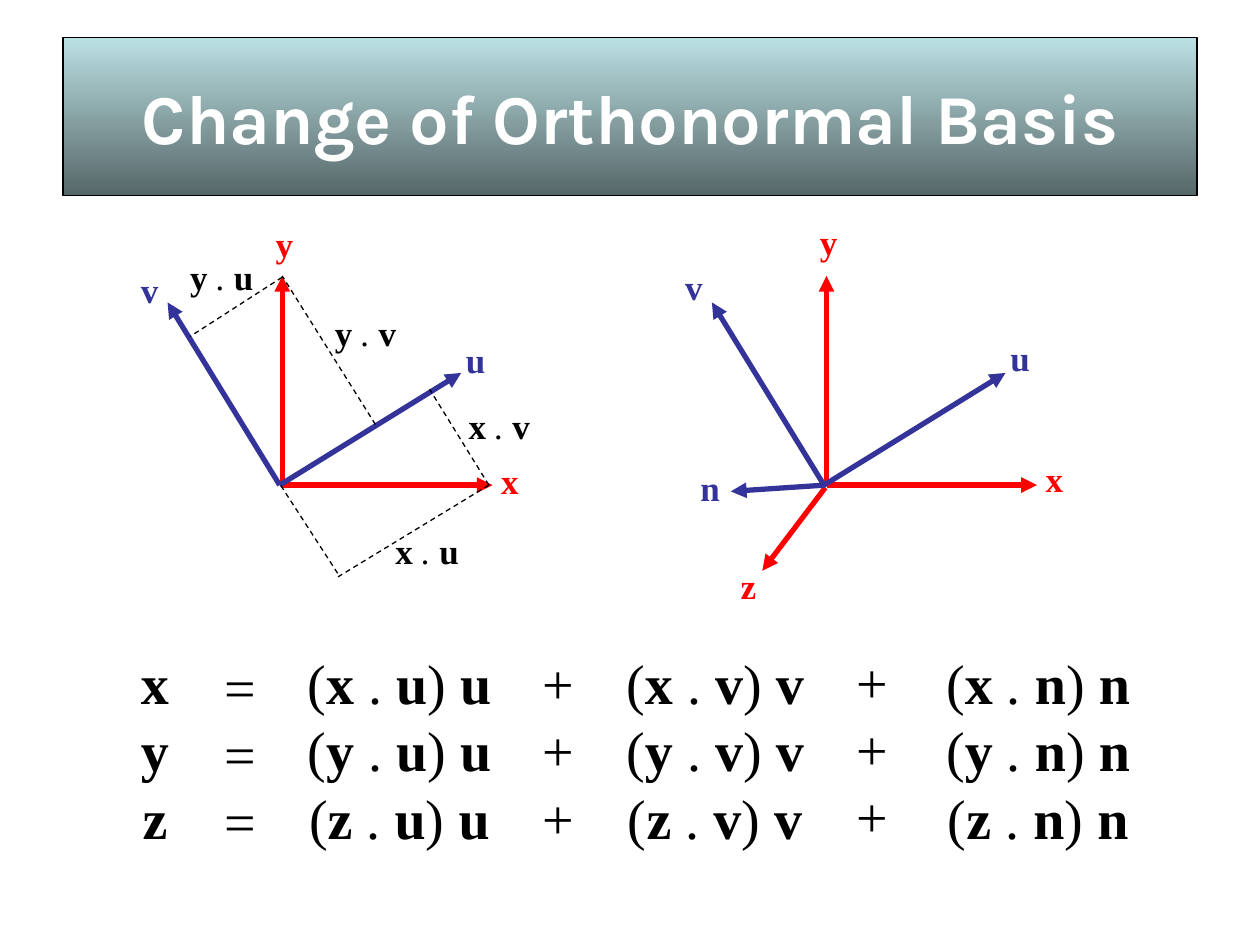
"""Builds the slide on changing between orthonormal bases."""
from dataclasses import dataclass

from lxml import etree
from pptx import Presentation
from pptx.dml.color import RGBColor
from pptx.enum.dml import MSO_LINE
from pptx.enum.shapes import MSO_CONNECTOR
from pptx.enum.text import MSO_ANCHOR, MSO_AUTO_SIZE, PP_ALIGN
from pptx.oxml.ns import qn
from pptx.util import Emu, Pt

STRAIGHT = MSO_CONNECTOR.STRAIGHT
DASH = MSO_LINE.DASH
CENTER, LEFT = PP_ALIGN.CENTER, PP_ALIGN.LEFT
MIDDLE = MSO_ANCHOR.MIDDLE
FIT_SHAPE, NO_FIT = MSO_AUTO_SIZE.SHAPE_TO_FIT_TEXT, MSO_AUTO_SIZE.NONE
TITLE_ONLY = 5
EMU_PER_PX = 9144


@dataclass(frozen=True)
class Theme:
    """Colours, fonts and sizes of the slide."""
    old_axis: RGBColor = RGBColor(0xFF, 0x00, 0x00)
    new_axis: RGBColor = RGBColor(0x33, 0x33, 0x99)
    ink: RGBColor = RGBColor(0x00, 0x00, 0x00)
    title_ink: RGBColor = RGBColor(0xFF, 0xFF, 0xFF)
    band_top: RGBColor = RGBColor(0xBB, 0xE0, 0xE3)
    band_bottom: RGBColor = RGBColor(0x56, 0x67, 0x68)
    title_font: str = "Karla"
    math_font: str = "Times New Roman"
    title_size: int = 40
    equation_size: int = 32
    label_size: int = 20
    line_pitch: float = 1.2
    axis_width: float = 3
    thin_width: float = 0.75


THEME = Theme()
OLD, NEW = THEME.old_axis, THEME.new_axis

BASIS_SHIFT = 432
LABEL_SHIFT = (432, -2)
SHARED_AXES = [
    ((224, 386), (224, 219), OLD),
    ((224, 385), (391, 385), OLD),
    ((222, 385), (366, 296), NEW),
    ((222, 385), (133, 240), NEW),
]
SHARED_LABELS = [
    ("x", 388, 360, OLD),
    ("y", 209, 172, OLD),
    ("v", 102, 208, NEW),
    ("u", 360, 264, NEW),
]
SPATIAL_AXES = [
    ((655, 387), (605, 453), OLD),
    ((655, 385), (580, 390), NEW),
]
SPATIAL_LABELS = [("z", 578, 443, OLD), ("n", 546, 365, NEW)]
PROJECTIONS = [
    ((388, 385), (341, 309)),
    ((268, 455), (222, 384)),
    ((388, 385), (268, 458)),
    ((298, 337), (224, 219)),
    ((224, 220), (151, 267)),
]
PRODUCTS = [
    ("x", "u", 304, 415),
    ("x", "v", 362, 316),
    ("y", "v", 256, 242),
    ("y", "u", 141, 198),
]
OLD_NAMES = "xyz"
TERM_COLUMNS = [("u", 234, 166), ("v", 487, 161), ("n", 741, 166)]
SIGN_COLUMNS = [("=", 168, 513), ("+", 421, 510), ("+", 670, 509)]


def px(length):
    """Turn a length in px into EMU."""
    return Emu(length * EMU_PER_PX)


def add_title(slide, text):
    """Format the title placeholder as a gradient band."""
    title = slide.shapes.title
    title.left, title.top, title.width, title.height = map(px, (50, 30, 900, 125))
    title.fill.gradient()
    title.fill.gradient_angle = 270
    stops = title.fill.gradient_stops
    for stop, color in zip(stops, (THEME.band_top, THEME.band_bottom)):
        stop.color.rgb = color
    title.line.color.rgb = THEME.ink
    title.line.width = Pt(THEME.thin_width)
    frame = title.text_frame
    frame.text = text
    frame.auto_size = NO_FIT
    frame.vertical_anchor = MIDDLE
    paragraph = frame.paragraphs[0]
    paragraph.alignment = CENTER
    font = paragraph.font
    font.name, font.size, font.bold = THEME.title_font, Pt(THEME.title_size), True
    font.color.rgb = THEME.title_ink


def add_math(slide, box, rows, size, color=THEME.ink, align=LEFT, wrap=True,
             italic_dot=False):
    """Add rows of formula pieces with the vector names in bold."""
    frame = slide.shapes.add_textbox(*map(px, box)).text_frame
    frame.word_wrap = wrap
    frame.auto_size = FIT_SHAPE
    for index, pieces in enumerate(rows):
        paragraph = frame.add_paragraph() if index else frame.paragraphs[0]
        paragraph.alignment = align
        paragraph.line_spacing = Pt(size * THEME.line_pitch)
        font = paragraph.font
        font.name, font.size = THEME.math_font, Pt(size)
        font.color.rgb = color
        for piece in pieces:
            run = paragraph.add_run()
            run.text = piece
            run.font.bold = piece.isalpha()
            if italic_dot and piece == " . ":
                run.font.italic = True


def add_line(slide, start, end, color, width):
    """Add a straight line without a shadow."""
    line = slide.shapes.add_connector(STRAIGHT, *map(px, start + end))
    line.line.color.rgb = color
    line.line.width = Pt(width)
    etree.SubElement(line._element.spPr, qn("a:effectLst"))
    return line


def add_axis(slide, start, tip, color):
    """Add a basis vector with an arrowhead at its tip."""
    axis = add_line(slide, start, tip, color, THEME.axis_width)
    etree.SubElement(axis.line._get_or_add_ln(), qn("a:tailEnd"), type="triangle")


def add_axis_label(slide, name, left, top, color):
    """Add the name of a basis vector."""
    add_math(slide, (left, top, 44, 44), [[name]], THEME.label_size, color)


def add_shared_basis(slide, shift=0, label_shift=(0, 0)):
    """Add the axes and names that both diagrams have."""
    for (x1, y1), (x2, y2), color in SHARED_AXES:
        add_axis(slide, (x1 + shift, y1), (x2 + shift, y2), color)
    for name, left, top, color in SHARED_LABELS:
        add_axis_label(slide, name, left + label_shift[0], top + label_shift[1], color)


def add_projections(slide):
    """Add the dashed projections and their dot products."""
    for start, end in PROJECTIONS:
        add_line(slide, start, end, THEME.ink, THEME.thin_width).line.dash_style = DASH
    for old, new, left, top in PRODUCTS:
        add_math(slide, (left, top, 91, 44), [[old, " . ", new]],
                 THEME.label_size, italic_dot=True)


def add_equations(slide):
    """Add the three equations column by column."""
    columns = [(102, 510, 42, [[old] for old in OLD_NAMES])]
    columns += [(left, top, 45, [[sign]] * len(OLD_NAMES))
                for sign, left, top in SIGN_COLUMNS]
    columns += [(left, 510, width,
                 [["(", old, " . ", new, ") ", new] for old in OLD_NAMES])
                for new, left, width in TERM_COLUMNS]
    for left, top, width, rows in columns:
        add_math(slide, (left, top, width, 170), rows, THEME.equation_size,
                 align=CENTER, wrap=False)


def main():
    """Build and save the slide."""
    deck = Presentation()
    deck.slide_width, deck.slide_height = px(1000), px(750)
    slide = deck.slides.add_slide(deck.slide_layouts[TITLE_ONLY])
    add_title(slide, "Change of Orthonormal Basis")
    add_equations(slide)
    add_shared_basis(slide)
    add_projections(slide)
    add_shared_basis(slide, BASIS_SHIFT, LABEL_SHIFT)
    for axis in SPATIAL_AXES:
        add_axis(slide, *axis)
    for label in SPATIAL_LABELS:
        add_axis_label(slide, *label)
    deck.save("out.pptx")


if __name__ == "__main__":
    main()
